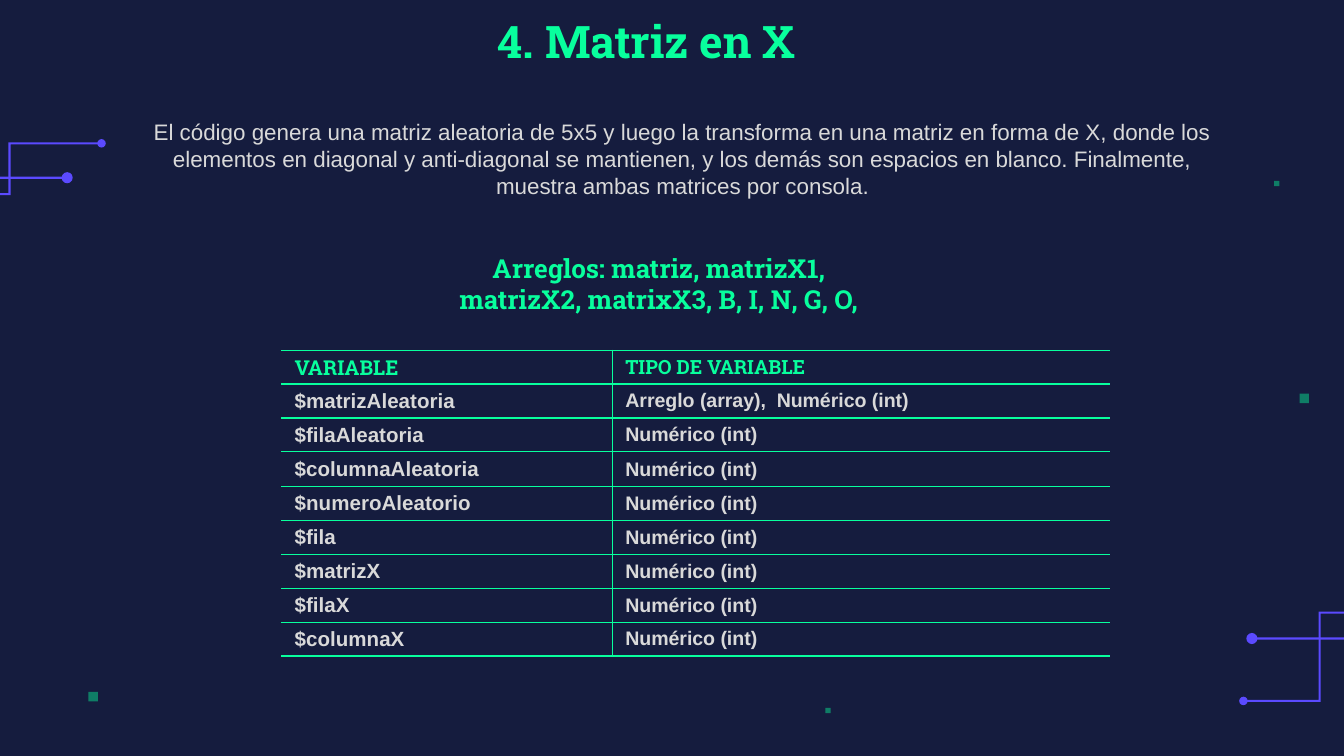
"""Build a dark slide with a title, an intro, a heading and a table of variables."""
from dataclasses import dataclass

from lxml import etree
from pptx import Presentation
from pptx import util as u
from pptx.dml.color import RGBColor
from pptx.enum import shapes, text
from pptx.oxml import ns


@dataclass(frozen=True)
class Theme:
    back: str = "151C3E"
    green: str = "08FF9D"
    violet: str = "5B4AFF"
    pale: str = "D9D9D9"
    slab: str = "Roboto Slab"
    sans: str = "Arial"
    title: float = 24
    head: float = 14
    body: float = 12
    name: float = 11
    type: float = 10.5
    rule: float = 0.75
    trace: float = 0.04


THEME = Theme()
PLAIN = "{2D5ABB26-0587-4C30-8999-92F81FD0307C}"
INTRO = (
    "El código genera una matriz aleatoria de 5x5 y luego la transforma en una matriz "
    "en forma de X, donde los elementos en diagonal y anti-diagonal se mantienen, y los "
    "demás son espacios en blanco. Finalmente, muestra ambas matrices por consola."
)
ARRAYS = "Arreglos: matriz, matrizX1,\nmatrizX2, matrixX3, B, I, N, G, O,"
NUMBER = "Numérico (int)"
NAMES = ("filaAleatoria", "columnaAleatoria", "numeroAleatorio", "fila", "matrizX", "filaX", "columnaX")
ROWS = [
    ("VARIABLE", "TIPO DE VARIABLE"),
    ("$matrizAleatoria", f"Arreglo (array),  {NUMBER}"),
    *((f"${name}", NUMBER) for name in NAMES),
]
TRACES = [
    (0.21, [(30.25, 13.25), (28.17, 13.25), (28.17, 12.07), (23.66, 12.07)]),
    (0.16, [(29.92, 11.58), (24.94, 11.58), (24.94, 13.25), (23.5, 13.25)]),
    (0.21, [(-7.04, 2.2), (-5.8, 2.2), (-5.8, 3.36), (1.27, 3.36)]),
    (0.16, [(-7.16, 2.9), (-4.61, 2.9), (-4.61, 3.67), (0.18, 3.67), (0.18, 2.71), (1.92, 2.71)]),
]
SQUARES = [(1.67, 13.08, 0.18), (24.56, 7.44, 0.18), (24.08, 3.42, 0.1), (15.6, 13.38, 0.1)]


def tint(hue):
    """Return a colour from its hex code."""
    return RGBColor.from_string(hue)


def style(frame, font, size, hue, bold=True):
    """Format every run of a text frame."""
    for para in frame.paragraphs:
        for run in para.runs:
            run.font.name = font
            run.font.size = u.Pt(size)
            run.font.bold = bold
            run.font.color.rgb = tint(hue)


def set_text(shape, words, box, look, anchor=text.MSO_ANCHOR.TOP):
    """Place a text shape and fill it with centred words."""
    shape.left, shape.top, shape.width, shape.height = map(u.Cm, box)
    frame = shape.text_frame
    frame.text = words
    frame.word_wrap = True
    frame.auto_size = text.MSO_AUTO_SIZE.NONE
    frame.vertical_anchor = anchor
    frame.margin_left = frame.margin_right = u.Cm(0.25)
    frame.margin_top = frame.margin_bottom = u.Cm(0.25)
    for para in frame.paragraphs:
        para.alignment = text.PP_ALIGN.CENTER
    style(frame, *look)


def add_text(slide, words, box, look):
    """Add a text box of centred words."""
    set_text(slide.shapes.add_textbox(*map(u.Cm, box)), words, box, look)


def paint(shape, hue):
    """Give a shape a plain fill without line or shadow."""
    shape.shadow.inherit = False
    shape.fill.solid()
    shape.fill.fore_color.rgb = tint(hue)
    shape.line.fill.background()


def add_mark(slide, kind, left, top, size, hue):
    """Add a small plain shape and return it."""
    mark = slide.shapes.add_shape(kind, *map(u.Cm, (left, top, size, size)))
    paint(mark, hue)
    return mark


def add_square(slide, left, top, size):
    """Add a translucent green square."""
    mark = add_mark(slide, shapes.MSO_SHAPE.RECTANGLE, left, top, size, THEME.green)
    hue = mark.fill._xPr.find(".//" + ns.qn("a:srgbClr"))
    etree.SubElement(hue, ns.qn("a:alpha"), val="43000")


def sign(value):
    """Return -1, 0 or 1 for a number."""
    return (value > 0) - (value < 0)


def edge(points, gap):
    """Shift a right-angled path sideways by a gap."""
    sides = [(sign(y - b), sign(a - x)) for (x, y), (a, b) in zip(points, points[1:])]
    turns = [sides[0]]
    turns += [(a + c, b + d) for (a, b), (c, d) in zip(sides, sides[1:])]
    turns.append(sides[-1])
    return [(x + gap * a, y + gap * b) for (x, y), (a, b) in zip(points, turns)]


def add_trace(slide, size, points):
    """Add a thin circuit strip that ends in a dot."""
    half = THEME.trace / 2
    rim = edge(points, half) + edge(points, -half)[::-1]
    spots = [(u.Cm(x), u.Cm(y)) for x, y in rim]
    pen = slide.shapes.build_freeform(*spots[0])
    pen.add_line_segments(spots[1:], close=True)
    paint(pen.convert_to_shape(), THEME.violet)
    x, y = points[-1]
    add_mark(slide, shapes.MSO_SHAPE.OVAL, x - size / 2, y - size / 2, size, THEME.violet)


def set_rules(cell, sides):
    """Draw the named sides of a cell and clear the others."""
    props = cell._tc.get_or_add_tcPr()
    for spot, side in enumerate("LRTB"):
        line = etree.Element(ns.qn(f"a:ln{side}"), w=str(u.Pt(THEME.rule)))
        if side in sides:
            fill = etree.SubElement(line, ns.qn("a:solidFill"))
            etree.SubElement(fill, ns.qn("a:srgbClr"), val=THEME.green)
        else:
            etree.SubElement(line, ns.qn("a:noFill"))
        props.insert(spot, line)


def add_grid(slide, rows, left, top, widths, heights):
    """Add the table of variables and their types."""
    box = (left, top, sum(widths), sum(heights))
    grid = slide.shapes.add_table(len(rows), len(widths), *map(u.Cm, box)).table
    grid.first_row = grid.horz_banding = False
    grid._tbl.tblPr.find(ns.qn("a:tableStyleId")).text = PLAIN
    for col, width in zip(grid.columns, widths):
        col.width = u.Cm(width)
    for r, row in enumerate(rows):
        grid.rows[r].height = u.Cm(heights[r])
        font, hue = (THEME.sans, THEME.pale) if r else (THEME.slab, THEME.green)
        for c, words in enumerate(row):
            cell = grid.cell(r, c)
            cell.text_frame.text = words
            cell.vertical_anchor = text.MSO_ANCHOR.MIDDLE
            cell.margin_left = cell.margin_right = u.Cm(0.25)
            cell.margin_top = cell.margin_bottom = 0
            cell.fill.background()
            style(cell.text_frame, font, (THEME.name, THEME.type)[c], hue)
            set_rules(cell, ("RTB", "LTB")[c])


def main():
    """Build and save the slide."""
    deck = Presentation()
    deck.slide_width, deck.slide_height = u.Cm(25.4), u.Cm(14.29)
    slide = deck.slides.add_slide(deck.slide_layouts[5])
    slide.background.fill.solid()
    slide.background.fill.fore_color.rgb = tint(THEME.back)
    for size, points in TRACES:
        add_trace(slide, size, points)
    for square in SQUARES:
        add_square(slide, *square)
    look = (THEME.slab, THEME.title, THEME.green)
    set_text(slide.shapes.title, "4. Matriz en X", (1.52, 0, 21.41, 1.53), look, text.MSO_ANCHOR.MIDDLE)
    look = (THEME.sans, THEME.body, THEME.pale, False)
    add_text(slide, INTRO, (2.2, 1.98, 21.41, 1.02), look)
    heights = [0.64] * 3 + [0.66] + [0.64] * 5
    add_grid(slide, ROWS, 5.32, 6.62, (6.25, 9.4), heights)
    look = (THEME.slab, THEME.head, THEME.green)
    add_text(slide, ARRAYS, (1.75, 4.52, 21.41, 1.6), look)
    deck.save("out.pptx")


if __name__ == "__main__":
    main()
